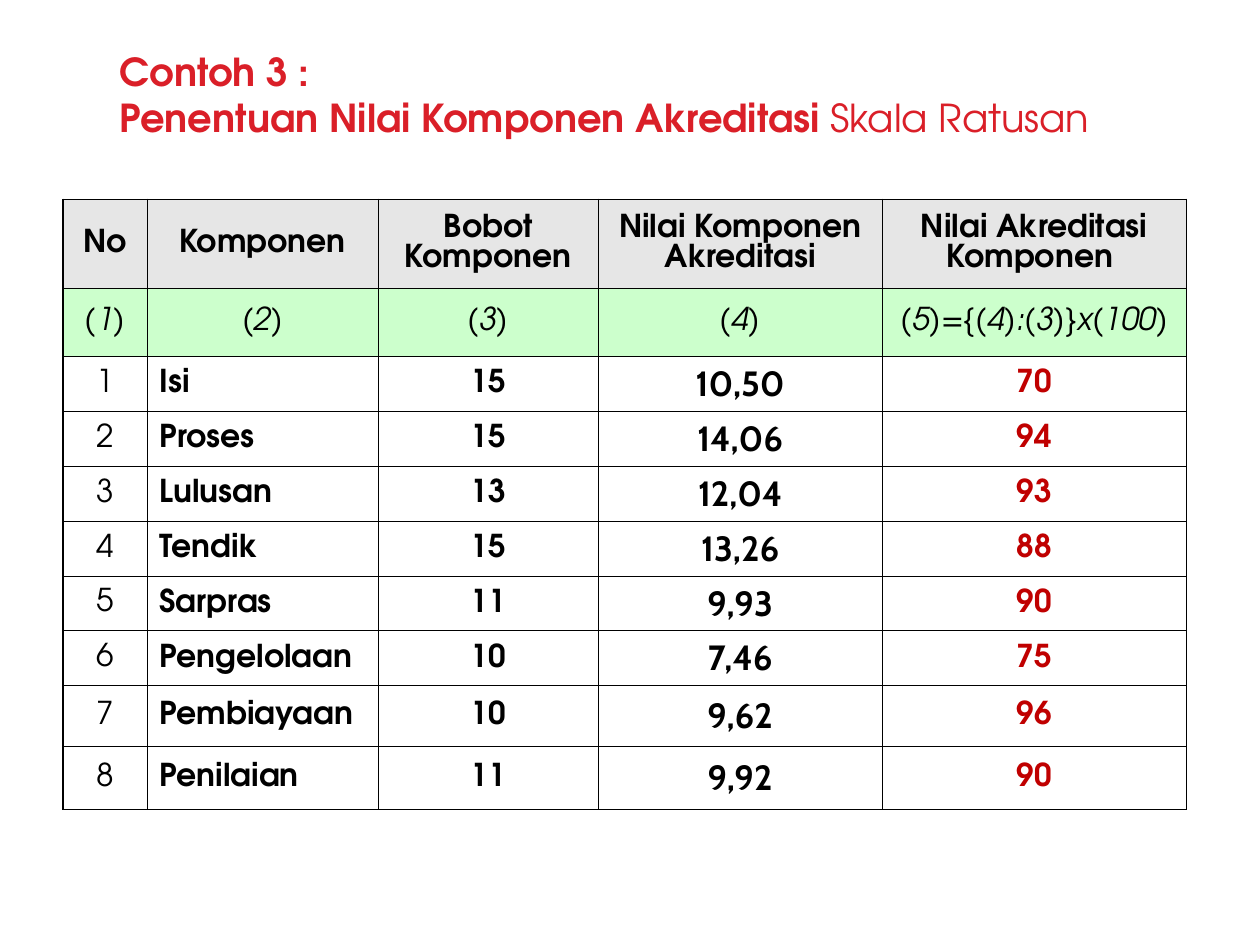
"""Build a slide with a table of accreditation component scores on a scale of one hundred."""
from lxml.etree import SubElement
from pptx import Presentation
from pptx.dml.color import RGBColor
from pptx.enum.text import MSO_ANCHOR, MSO_AUTO_SIZE, PP_ALIGN
from pptx.oxml.ns import qn
from pptx.util import Inches, Pt

TITLE = [
    [("Contoh 3 :", "title")],
    [("Penentuan Nilai Komponen Akreditasi", "title"), (" Skala Ratusan", "title_light")],
]
HEADINGS = ("No", "Komponen", "Bobot Komponen", "Nilai Komponen Akreditasi", "Nilai Akreditasi Komponen ")
FORMULAS = ("(1)", "(2)", "(3)", "(4)", "(5)={(4):(3)}x(100)")
SCORES = [
    ("1", "Isi", "15", "10,50", "70"),
    ("2", "Proses", "15", "14,06", "94"),
    ("3", "Lulusan", "13", "12,04", "93"),
    ("4", "Tendik", "15", "13,26", "88"),
    ("5", "Sarpras", "11", "9,93", "90"),
    ("6", "Pengelolaan", "10", "7,46", "75"),
    ("7", "Pembiayaan", "10", "9,62", "96"),
    ("8", "Penilaian", "11", "9,92", "90"),
]
SCORE_STYLES = ("number", "strong", "strong", "score", "result")

BODY_FONT = {"name": "TeX Gyre Adventor", "size": Pt(18), "bold": False, "italic": False}
THEME = {
    "fonts": {
        "title": BODY_FONT | {"size": Pt(22), "bold": True, "color": "DA1F28"},
        "title_light": BODY_FONT | {"size": Pt(22), "color": "DA1F28"},
        "number": BODY_FONT | {"color": "000000"},
        "formula": BODY_FONT | {"italic": True, "color": "000000"},
        "strong": BODY_FONT | {"bold": True, "color": "000000"},
        "score": BODY_FONT | {"name": "Cabin", "size": Pt(20), "bold": True, "color": "000000"},
        "result": BODY_FONT | {"bold": True, "color": "C00000"},
    },
    "heading_fill": "E6E6E6",
    "formula_fill": "CCFFCC",
    "score_fill": "FFFFFF",
    "border": "000000",
    "inner_line": Pt(0.45),
    "outer_line": Pt(0.96),
}

WIDTH, HEIGHT = Inches(10), Inches(7.5)
COLUMN_UNIT, ROW_UNIT = WIDTH / 120, HEIGHT / 3750
COLUMN_SPANS = (8, 22, 21, 27, 29)
ROW_SPANS = (353, 270, *[218] * 6, 239, 253)


def add_run(paragraph, text, style):
    run = paragraph.add_run()
    run.text = text
    for key, value in THEME["fonts"][style].items():
        if key == "color":
            run.font.color.rgb = RGBColor.from_string(value)
        else:
            setattr(run.font, key, value)


def add_borders(cell, row, column):
    edges = {
        "a:lnL": column == 0,
        "a:lnR": column == len(COLUMN_SPANS) - 1,
        "a:lnT": row == 0,
        "a:lnB": row == len(ROW_SPANS) - 1,
    }
    properties = cell._tc.get_or_add_tcPr()
    for tag, is_outer in edges.items():
        line_width = THEME["outer_line" if is_outer else "inner_line"]
        line = SubElement(properties, qn(tag), w=str(line_width))
        SubElement(SubElement(line, qn("a:solidFill")), qn("a:srgbClr"), val=THEME["border"])


def add_title(slide):
    title = slide.shapes.add_textbox(
        int(WIDTH * 0.085), int(HEIGHT * 0.044), int(WIDTH * 0.815), int(HEIGHT * 0.112)
    ).text_frame
    settings = {
        "word_wrap": True,
        "auto_size": MSO_AUTO_SIZE.SHAPE_TO_FIT_TEXT,
        "vertical_anchor": MSO_ANCHOR.MIDDLE,
    }
    for key, value in settings.items():
        setattr(title, key, value)
    for index, pieces in enumerate(TITLE):
        paragraph = title.add_paragraph() if index else title.paragraphs[0]
        for text, style in pieces:
            add_run(paragraph, text, style)


def add_scores(slide):
    bands = [
        (HEADINGS, ["strong"] * 5, "heading_fill"),
        (FORMULAS, ["formula"] * 5, "formula_fill"),
        *[(score, SCORE_STYLES, "score_fill") for score in SCORES],
    ]
    table = slide.shapes.add_table(
        len(ROW_SPANS), len(COLUMN_SPANS), int(WIDTH * 0.05), int(ROW_UNIT * 791),
        int(sum(COLUMN_SPANS) * COLUMN_UNIT), int(sum(ROW_SPANS) * ROW_UNIT),
    ).table
    table.first_row = table.horz_banding = False
    for column, span in zip(table.columns, COLUMN_SPANS):
        column.width = int(span * COLUMN_UNIT)
    for row, span in zip(table.rows, ROW_SPANS):
        row.height = int(span * ROW_UNIT)
    for row, (texts, styles, fill) in enumerate(bands):
        for column, (text, style) in enumerate(zip(texts, styles)):
            cell = table.cell(row, column)
            add_borders(cell, row, column)
            cell.fill.solid()
            cell.fill.fore_color.rgb = RGBColor.from_string(THEME[fill])
            cell.vertical_anchor = MSO_ANCHOR.MIDDLE
            paragraph = cell.text_frame.paragraphs[0]
            is_name = fill == "score_fill" and column == 1
            paragraph.alignment = PP_ALIGN.LEFT if is_name else PP_ALIGN.CENTER
            add_run(paragraph, text, style)


def main():
    presentation = Presentation()
    presentation.slide_width, presentation.slide_height = WIDTH, HEIGHT
    slide = presentation.slides.add_slide(presentation.slide_layouts[6])
    add_title(slide)
    add_scores(slide)
    presentation.save("out.pptx")


if __name__ == "__main__":
    main()
